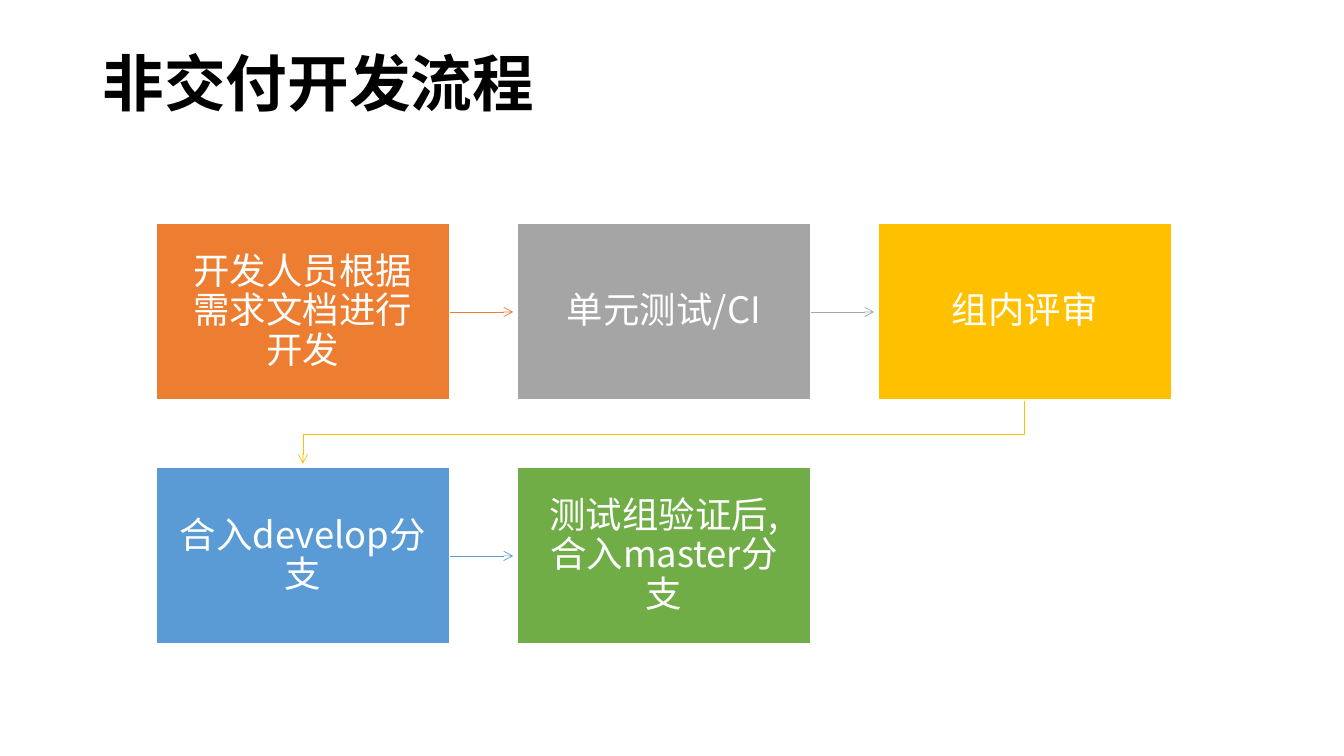
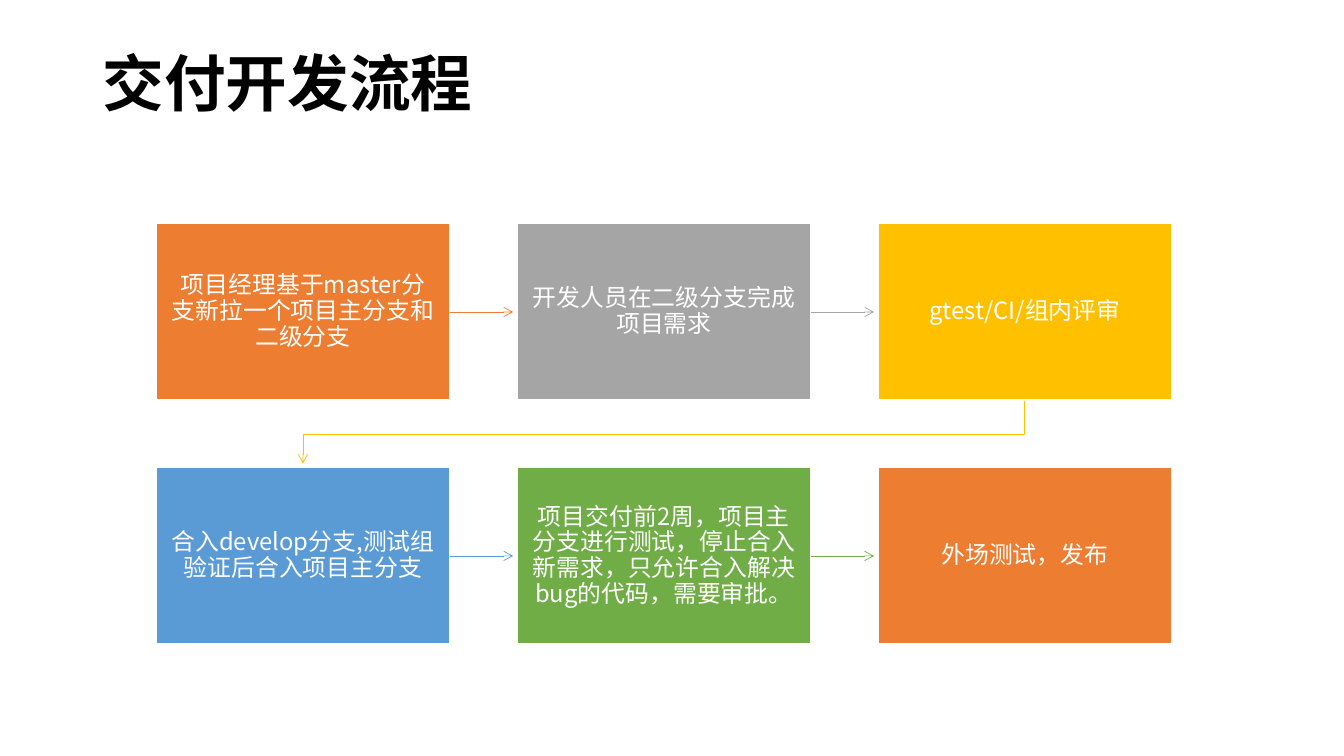
import dataclasses

import lxml.etree
import pptx
import pptx.dml.color
import pptx.enum.shapes
import pptx.enum.text
import pptx.oxml.ns
import pptx.util


@dataclasses.dataclass(frozen=True)
class Theme:
    font: str = "Noto Sans CJK SC"
    ink: str = "000000"
    paper: str = "FFFFFF"
    accents: tuple = ("ED7D31", "A5A5A5", "FFC000", "5B9BD5", "70AD47")
    title_size: int = 44
    large_size: int = 26
    small_size: int = 17
    line_spacing: float = 0.9
    border_width: float = 1
    arrow_width: float = 0.5


@dataclasses.dataclass(frozen=True)
class Grid:
    """Step boxes in rows of three, in inches."""
    left: float = 1.55
    top: float = 2.22
    box_width: float = 2.91
    box_height: float = 1.75
    gap: float = 0.67
    columns: int = 3
    arrow_clearance: float = 0.04

    def box(self, index):
        row, column = divmod(index, self.columns)
        return (self.left + column * (self.box_width + self.gap),
                self.top + row * (self.box_height + self.gap),
                self.box_width, self.box_height)

    def route(self, index):
        """Points of the arrow from one step to the next."""
        left, top, width, height = self.box(index)
        next_left, next_top, next_width, _ = self.box(index + 1)
        if next_top == top:
            middle = top + height / 2
            return [(left + width, middle),
                    (next_left - self.arrow_clearance, middle)]
        start, end = left + width / 2, next_left + next_width / 2
        turn = (top + height + next_top) / 2
        return [(start, top + height), (start, turn), (end, turn),
                (end, next_top - self.arrow_clearance)]


def inches(*values):
    return [pptx.util.Inches(value) for value in values]


def rgb(color):
    return pptx.dml.color.RGBColor.from_string(color)


def add_xml(parent, tag, **attributes):
    lxml.etree.SubElement(parent, pptx.oxml.ns.qn(tag), attributes)


class Deck:
    def __init__(self, theme, grid):
        self.theme, self.grid = theme, grid
        self.presentation = pptx.Presentation()
        self.presentation.slide_width, self.presentation.slide_height = inches(13.33, 7.5)
        self.slide = None

    def new_slide(self, title):
        self.slide = self.presentation.slides.add_slide(self.presentation.slide_layouts[6])
        box = self.slide.shapes.add_textbox(*inches(0.92, 0.4, 4.66, 0.91))
        self.set_text(box, title, self.theme.title_size, self.theme.ink, bold=True)

    def set_text(self, shape, text, size, color, bold=False, align="LEFT", inset=None):
        frame = shape.text_frame
        frame_format = {"word_wrap": True,
                        "vertical_anchor": pptx.enum.text.MSO_ANCHOR.MIDDLE}
        if inset is not None:
            for side in ("left", "top", "right", "bottom"):
                frame_format["margin_" + side] = pptx.util.Inches(inset)
        paragraph = frame.paragraphs[0]
        run = paragraph.add_run()
        run.text = text
        formats = (
            (frame, frame_format),
            (paragraph, {"alignment": pptx.enum.text.PP_ALIGN[align],
                         "line_spacing": self.theme.line_spacing}),
            (run.font, {"name": self.theme.font, "bold": bold,
                        "size": pptx.util.Pt(size)}),
        )
        for target, values in formats:
            for name, value in values.items():
                setattr(target, name, value)
        run.font.color.rgb = rgb(color)
        add_xml(run._r.get_or_add_rPr(), "a:ea", typeface=self.theme.font)

    def add_step(self, index, text, size, inset):
        shape = self.slide.shapes.add_shape(
            pptx.enum.shapes.MSO_SHAPE.RECTANGLE, *inches(*self.grid.box(index)))
        shape.shadow.inherit = False
        shape.fill.solid()
        shape.fill.fore_color.rgb = rgb(self.accent(index))
        shape.line.color.rgb = rgb(self.theme.paper)
        shape.line.width = pptx.util.Pt(self.theme.border_width)
        self.set_text(shape, text, size, self.theme.paper, align="CENTER", inset=inset)

    def add_arrow(self, index):
        points = [inches(*point) for point in self.grid.route(index)]
        if len(points) == 2:
            arrow = self.slide.shapes.add_connector(
                pptx.enum.shapes.MSO_CONNECTOR.STRAIGHT, *points[0], *points[1])
        else:
            builder = self.slide.shapes.build_freeform(*points[0])
            builder.add_line_segments(points[1:], close=False)
            arrow = builder.convert_to_shape()
            arrow.fill.background()
        arrow.line.color.rgb = rgb(self.accent(index))
        arrow.line.width = pptx.util.Pt(self.theme.arrow_width)
        add_xml(arrow.line._get_or_add_ln(), "a:tailEnd", type="arrow")
        add_xml(arrow._element.spPr, "a:effectLst")

    def accent(self, index):
        return self.theme.accents[index % len(self.theme.accents)]

    def add_flow(self, steps, size, inset):
        for index, text in enumerate(steps):
            if index + 1 < len(steps):
                self.add_arrow(index)
            self.add_step(index, text, size, inset)


theme = Theme()
deck = Deck(theme, Grid())

# Development without delivery
deck.new_slide("非交付开发流程")
deck.add_flow([
    "开发人员根据需求文档进行开发",
    "单元测试/CI",
    "组内评审",
    "合入develop分支",
    "测试组验证后,合入master分支",
], theme.large_size, inset=0.2)

# Development with delivery
deck.new_slide("交付开发流程")
deck.add_flow([
    "项目经理基于master分支新拉一个项目主分支和二级分支",
    "开发人员在二级分支完成项目需求",
    "gtest/CI/组内评审",
    "合入develop分支,测试组验证后合入项目主分支",
    "项目交付前2周，项目主分支进行测试，停止合入新需求，只允许合入解决bug的代码，需要审批。",
    "外场测试，发布",
], theme.small_size, inset=0.13)

deck.presentation.save("out.pptx")
